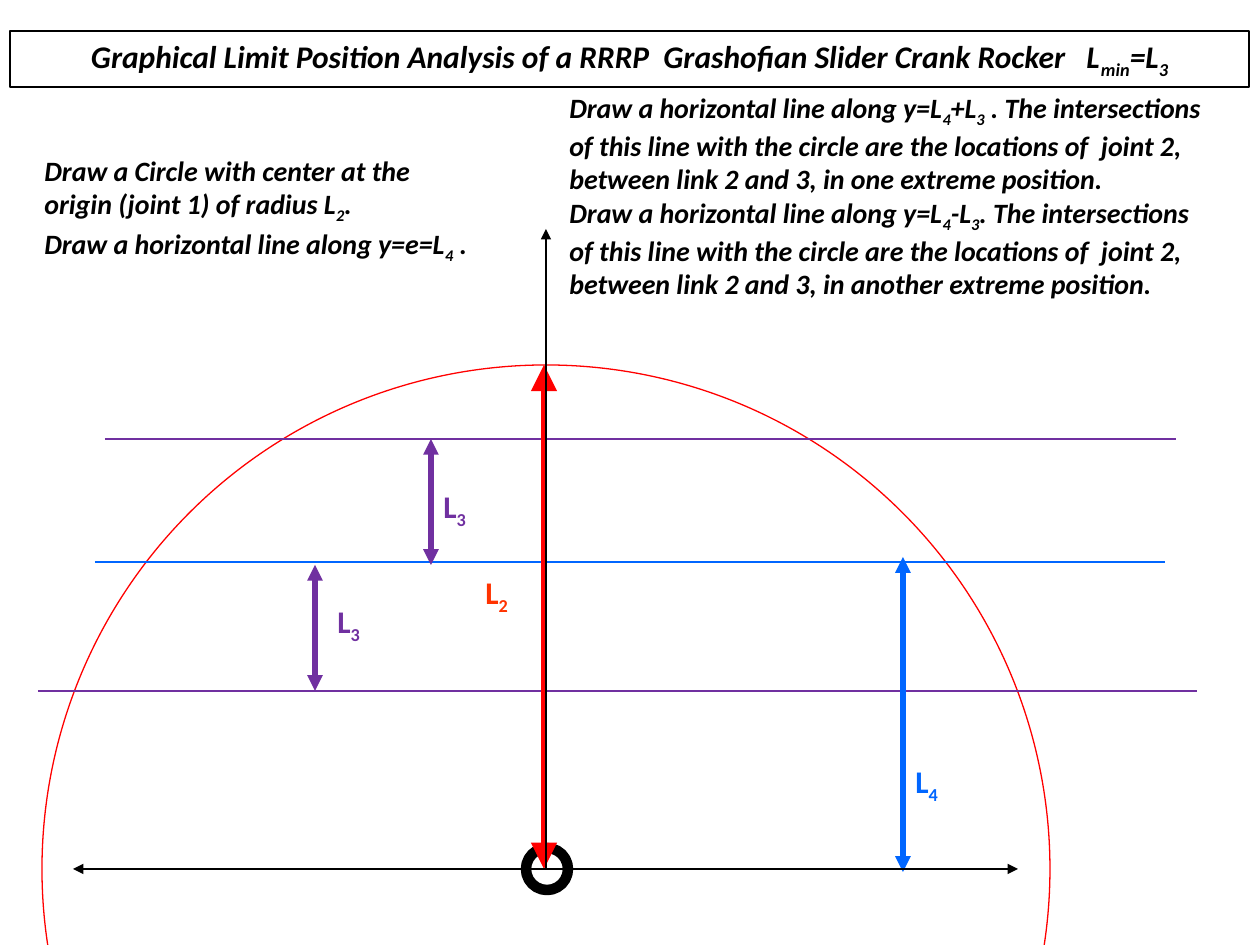
from pptx import Presentation, util as u
from pptx.dml.color import RGBColor
from pptx.enum import shapes, text
from pptx.oxml.ns import qn
from lxml import etree

THEME = {
    "font": "Calibri",
    "black": "000000", "white": "FFFFFF", "red": "FF0000",
    "orange": "FF3300", "blue": "0066FF", "purple": "7030A0",
    "title": 18, "label": 18, "step": 16,
    "thin": 0.75, "level": 1.5, "dimension": 3, "joint": 6,
}

# Content: every second piece between bars is a subscript
TITLE = ("Graphical Limit Position Analysis of a RRRP  Grashofian Slider Crank Rocker"
         "   L|min|=L|3")
STEPS = [  # left, top, width, height, wording
    (32, 220, 454, 52, "Draw a horizontal line along y=e=L|4| ."),
    (32, 147, 399, 84, "Draw a Circle with center at the origin (joint 1) of radius L|2|."),
    (557, 84, 668, 118, "Draw a horizontal line along y=L|4|+L|3| . The intersections of this line "
     "with the circle are the locations of  joint 2, between link 2 and 3, in one extreme position."),
    (557, 189, 651, 118, "Draw a horizontal line along y=L|4|-L|3|. The intersections of this line "
     "with the circle are the locations of  joint 2, between link 2 and 3, in another extreme position."),
]
LABELS = [  # left, top, wording, colour
    (473, 567, "L|2", "orange"), (903, 756, "L|4", "blue"),
    (431, 481, "L|3", "purple"), (325, 596, "L|3", "purple"),
]

# Geometry in px
PX = 914400 / 126
ORIGIN_X, ORIGIN_Y = 546, 869
RADIUS, JOINT_RADIUS = 504, 21
ARC_ANGLES = (188, 349.5)
UPPER, MIDDLE, LOWER = 439, 562, 691
LEVELS = [  # left, right, y, colour
    (95, 1165, MIDDLE, "blue"), (105, 1176, UPPER, "purple"), (38, 1197, LOWER, "purple"),
]
DIMENSIONS = [  # x, bottom, top, colour, arrowhead size
    (544, ORIGIN_Y, ORIGIN_Y - RADIUS, "red", "lg"),
    (903, 872, 557, "blue", "med"),
    (431, 565, UPPER, "purple", "med"),
    (315, LOWER, 565, "purple", "med"),
]


def px(*lengths):
    return [u.Emu(round(length * PX)) for length in lengths]


def colour(name):
    return RGBColor.from_string(THEME[name])


def style_line(shape, name, weight):
    shape.line.color.rgb = colour(name)
    shape.line.width = u.Pt(THEME[weight])


def add_preset(kind, left, top, width, height, line, weight, fill=None):
    shape = page.shapes.add_shape(kind, *px(left, top, width, height))
    shape.shadow.inherit = False
    if fill:
        shape.fill.solid()
        shape.fill.fore_color.rgb = colour(fill)
    else:
        shape.fill.background()
    style_line(shape, line, weight)
    return shape


def add_line(x1, y1, x2, y2, name, weight, ends=(), size="med"):
    line = page.shapes.add_connector(shapes.MSO_CONNECTOR.STRAIGHT, *px(x1, y1, x2, y2))
    style_line(line, name, weight)
    for end in ends:
        etree.SubElement(line.line._get_or_add_ln(), qn(f"a:{end}"),
                         type="triangle", w=size, len=size)
    etree.SubElement(line._element.spPr, qn("a:effectLst"))


def write(box, wording, size, name, italic=True, align=text.PP_ALIGN.LEFT):
    frame = box.text_frame
    frame.word_wrap = True
    frame.vertical_anchor = text.MSO_ANCHOR.TOP
    frame.auto_size = text.MSO_AUTO_SIZE.SHAPE_TO_FIT_TEXT
    para = frame.paragraphs[0]
    para.alignment = align
    for index, piece in enumerate(wording.split("|")):
        span = para.add_run()
        span.text = piece
        font = span.font
        font.name, font.size = THEME["font"], u.Pt(THEME[size])
        font.bold, font.italic = True, italic
        font.color.rgb = colour(name)
        if index % 2:
            font._element.set("baseline", "-25000")


deck = Presentation()
deck.slide_width, deck.slide_height = px(1260, 945)
page = deck.slides.add_slide(deck.slide_layouts[6])

# Title
banner = add_preset(shapes.MSO_SHAPE.RECTANGLE, 10, 31, 1239, 56, "black", "thin", "white")
write(banner, TITLE, "title", "black", align=text.PP_ALIGN.CENTER)

# Joint 1 and the circle of radius L2
add_preset(shapes.MSO_SHAPE.OVAL, ORIGIN_X + 1 - JOINT_RADIUS, ORIGIN_Y - JOINT_RADIUS,
           2 * JOINT_RADIUS, 2 * JOINT_RADIUS, "black", "joint", "white")
arc = add_preset(shapes.MSO_SHAPE.ARC, ORIGIN_X - RADIUS, ORIGIN_Y - RADIUS,
                 2 * RADIUS, 2 * RADIUS, "red", "thin")
for index, angle in enumerate(ARC_ANGLES):
    arc.adjustments[index] = (angle if angle <= 180 else angle - 360) * 0.6

# Levels, dimension arrows and their labels
for left, right, y, name in LEVELS:
    add_line(left, y, right, y, name, "level")
for x, bottom, top, name, size in DIMENSIONS:
    add_line(x, bottom, x, top, name, "dimension", ("headEnd", "tailEnd"), size)
for left, top, wording, name in LABELS:
    write(page.shapes.add_textbox(*px(left, top, 63, 56)), wording, "label", name, italic=False)

# Instructions
for left, top, width, height, wording in STEPS:
    write(page.shapes.add_textbox(*px(left, top, width, height)), wording, "step", "black")

# Axes
add_line(ORIGIN_X, ORIGIN_Y, ORIGIN_X, 229, "black", "thin", ("tailEnd",))
add_line(73, ORIGIN_Y, 1018, ORIGIN_Y, "black", "thin", ("headEnd", "tailEnd"))

deck.save("out.pptx")
